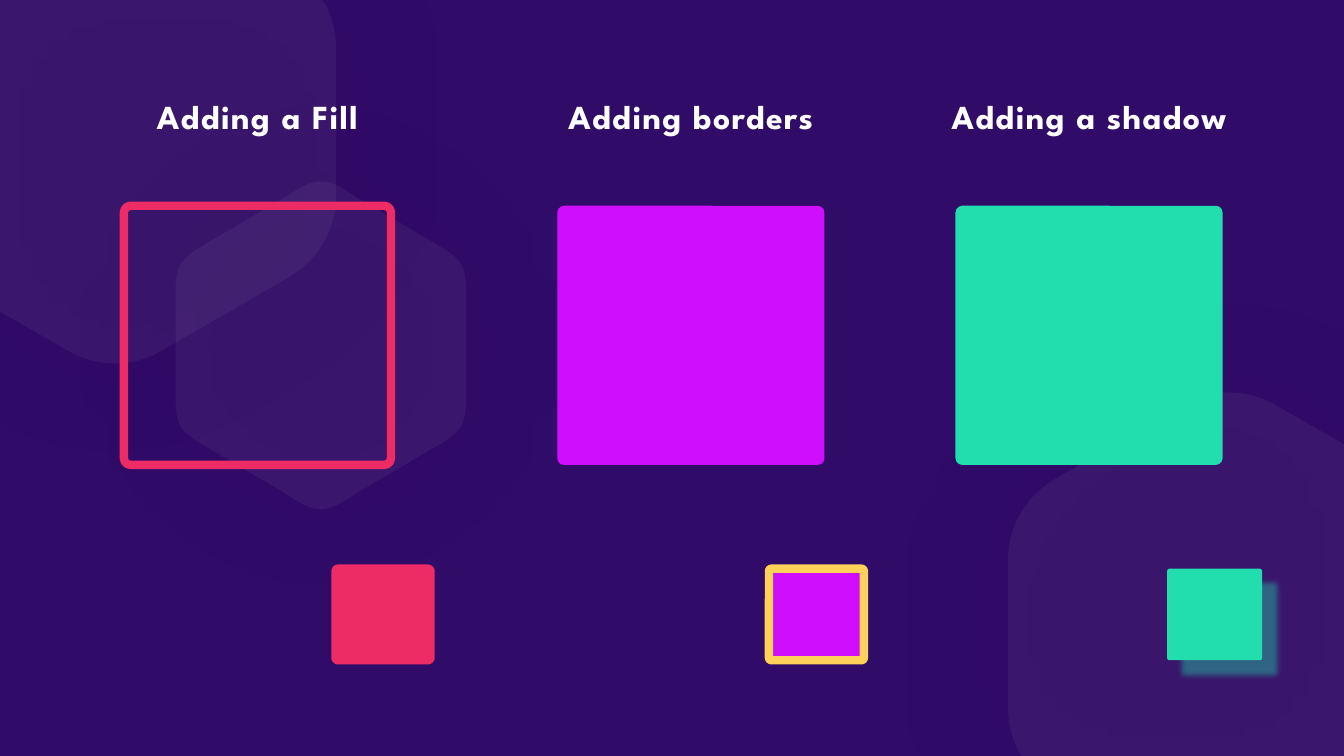
from dataclasses import dataclass
from typing import Optional

from lxml.etree import SubElement
from pptx import Presentation
from pptx.dml.color import RGBColor
from pptx.enum.shapes import MSO_SHAPE
from pptx.enum.text import MSO_AUTO_SIZE, PP_ALIGN
from pptx.oxml.ns import qn
from pptx.shapes.autoshape import Shape
from pptx.slide import Slide
from pptx.util import Emu, Pt

COLUMNS, ROWS = 32, 18
CELL = 381000
CURVE_STEPS = 12
BORDER_POINTS = 6
CORNER_RATIO = 0.026

HEADING_TOP, HEADING_HEIGHT = 2.16, 1.2
EXAMPLE_TOP, EXAMPLE_WIDTH, EXAMPLE_HEIGHT = 4.9, 6.36, 6.17
RESULT_TOP, RESULT_WIDTH, RESULT_HEIGHT = 13.54, 2.26, 2.18
RESULT_SHIFT = 2.99

RED, PURPLE, GREEN, YELLOW = "ED2B65", "CE0EFC", "22DDAD", "FED159"
WHITE, BLACK, NIGHT = "FFFFFF", "000000", "310B68"

Point = tuple[float, float]


@dataclass(frozen=True)
class Shadow:
    color: str
    opacity: int
    blur: int
    distance: int
    angle: int


@dataclass(frozen=True)
class Look:
    fill: Optional[str] = None
    border: Optional[str] = None
    shadow: Optional[Shadow] = None
    opacity: int = 100


@dataclass(frozen=True)
class Lesson:
    heading: str
    center: float
    heading_width: float
    example: Look
    result: Look


LESSONS = [
    Lesson("Adding a Fill", 6.13, 6.36, Look(border=RED), Look(RED, RED)),
    Lesson("Adding borders", 16.45, 7.13, Look(PURPLE), Look(PURPLE, YELLOW)),
    Lesson("Adding a shadow", 25.93, 7.13, Look(GREEN),
           Look(GREEN, shadow=Shadow(GREEN, 40, 4, 15, 45))),
]
HAZE = Look(WHITE, shadow=Shadow(BLACK, 75, 100, 0, 0), opacity=5)


def grid(cells: float) -> Emu:
    return Emu(round(cells * CELL))


def rgb(color: str) -> RGBColor:
    return RGBColor.from_string(color)


def curve(a: Point, b: Point, c: Point, d: Point) -> list[Point]:
    points = []
    for step in range(CURVE_STEPS + 1):
        t = step / CURVE_STEPS
        weights = ((1 - t) ** 3, 3 * t * (1 - t) ** 2, 3 * t * t * (1 - t), t ** 3)
        points.append((sum(w * p[0] for w, p in zip(weights, (a, b, c, d))),
                       sum(w * p[1] for w, p in zip(weights, (a, b, c, d)))))
    return points


def hexagon_outline() -> list[Point]:
    quarter = (curve((0, -3.9), (0.31, -3.9), (0.53, -3.72), (0.94, -3.47))
               + curve((2.64, -2.47), (3.36, -2.06), (3.46, -1.92), (3.46, -1.2)))
    right = quarter + [(x, -y) for x, y in reversed(quarter)]
    return right + [(-x, y) for x, y in reversed(right)]


def corner_outline() -> list[Point]:
    return ([(0.34, 8.64), (8, 8.64), (8, 1.22)]
            + curve((6.38, 0.29), (5.69, -0.12), (4.85, -0.12), (4.15, 0.29))
            + curve((1.13, 2.04), (0.43, 2.45), (0, 3.17), (0, 3.96))
            + curve((0, 7.46), (0, 7.87), (0.1, 8.26), (0.29, 8.59)))


def set_opacity(color_element, percent: int) -> None:
    SubElement(color_element, qn("a:alpha"), val=str(percent * 1000))


def apply_look(shape: Shape, look: Look) -> None:
    properties = shape._element.spPr
    if look.fill:
        shape.fill.solid()
        shape.fill.fore_color.rgb = rgb(look.fill)
        if look.opacity < 100:
            set_opacity(properties.find(qn("a:solidFill"))[0], look.opacity)
    else:
        shape.fill.background()
    if look.border:
        shape.line.color.rgb = rgb(look.border)
        shape.line.width = Pt(BORDER_POINTS)
    else:
        shape.line.fill.background()
    shape.shadow.inherit = False
    if look.shadow:
        outer = SubElement(properties.find(qn("a:effectLst")), qn("a:outerShdw"),
                           blurRad=str(Pt(look.shadow.blur)),
                           dist=str(Pt(look.shadow.distance)),
                           dir=str(look.shadow.angle * 60000),
                           algn="ctr", rotWithShape="0")
        set_opacity(SubElement(outer, qn("a:srgbClr"), val=look.shadow.color),
                    look.shadow.opacity)


def draw_haze(slide: Slide, outline: list[Point], left: float, top: float) -> Shape:
    corners = [(grid(x), grid(y)) for x, y in outline]
    builder = slide.shapes.build_freeform(*corners[0])
    builder.add_line_segments(corners[1:], close=True)
    haze = builder.convert_to_shape(grid(left), grid(top))
    apply_look(haze, HAZE)
    return haze


def draw_square(slide: Slide, center: float, top: float, width: float,
                height: float, look: Look) -> None:
    square = slide.shapes.add_shape(
        MSO_SHAPE.ROUNDED_RECTANGLE, grid(center - width / 2), grid(top),
        grid(width), grid(height))
    square.adjustments[0] = CORNER_RATIO
    apply_look(square, look)


def draw_heading(slide: Slide, lesson: Lesson) -> None:
    heading = slide.shapes.add_textbox(
        grid(lesson.center - lesson.heading_width / 2), grid(HEADING_TOP),
        grid(lesson.heading_width), grid(HEADING_HEIGHT))
    frame = heading.text_frame
    frame.word_wrap = True
    frame.auto_size = MSO_AUTO_SIZE.SHAPE_TO_FIT_TEXT
    paragraph = frame.paragraphs[0]
    paragraph.alignment = PP_ALIGN.CENTER
    words = paragraph.add_run()
    words.text = lesson.heading
    words.font.name = "League Spartan"
    words.font.size = Pt(24)
    words.font.bold = True
    words.font.color.rgb = rgb(WHITE)
    words.font._element.set("spc", "100")


def draw_lesson(slide: Slide, lesson: Lesson) -> None:
    draw_heading(slide, lesson)
    draw_square(slide, lesson.center, EXAMPLE_TOP, EXAMPLE_WIDTH, EXAMPLE_HEIGHT,
                lesson.example)
    draw_square(slide, lesson.center + RESULT_SHIFT, RESULT_TOP, RESULT_WIDTH,
                RESULT_HEIGHT, lesson.result)


def main() -> None:
    deck = Presentation()
    deck.slide_width, deck.slide_height = grid(COLUMNS), grid(ROWS)
    slide = deck.slides.add_slide(deck.slide_layouts[6])
    backdrop = slide.background.fill
    backdrop.solid()
    backdrop.fore_color.rgb = rgb(NIGHT)

    top_left = draw_haze(slide, corner_outline(), 0, 0)
    top_left.left = top_left.top = grid(0)
    top_left.rotation = 180
    draw_haze(slide, hexagon_outline(), 7.64, 8.22)
    draw_haze(slide, corner_outline(), 24, 9.36)

    for lesson in LESSONS:
        draw_lesson(slide, lesson)
    deck.save("out.pptx")


if __name__ == "__main__":
    main()
